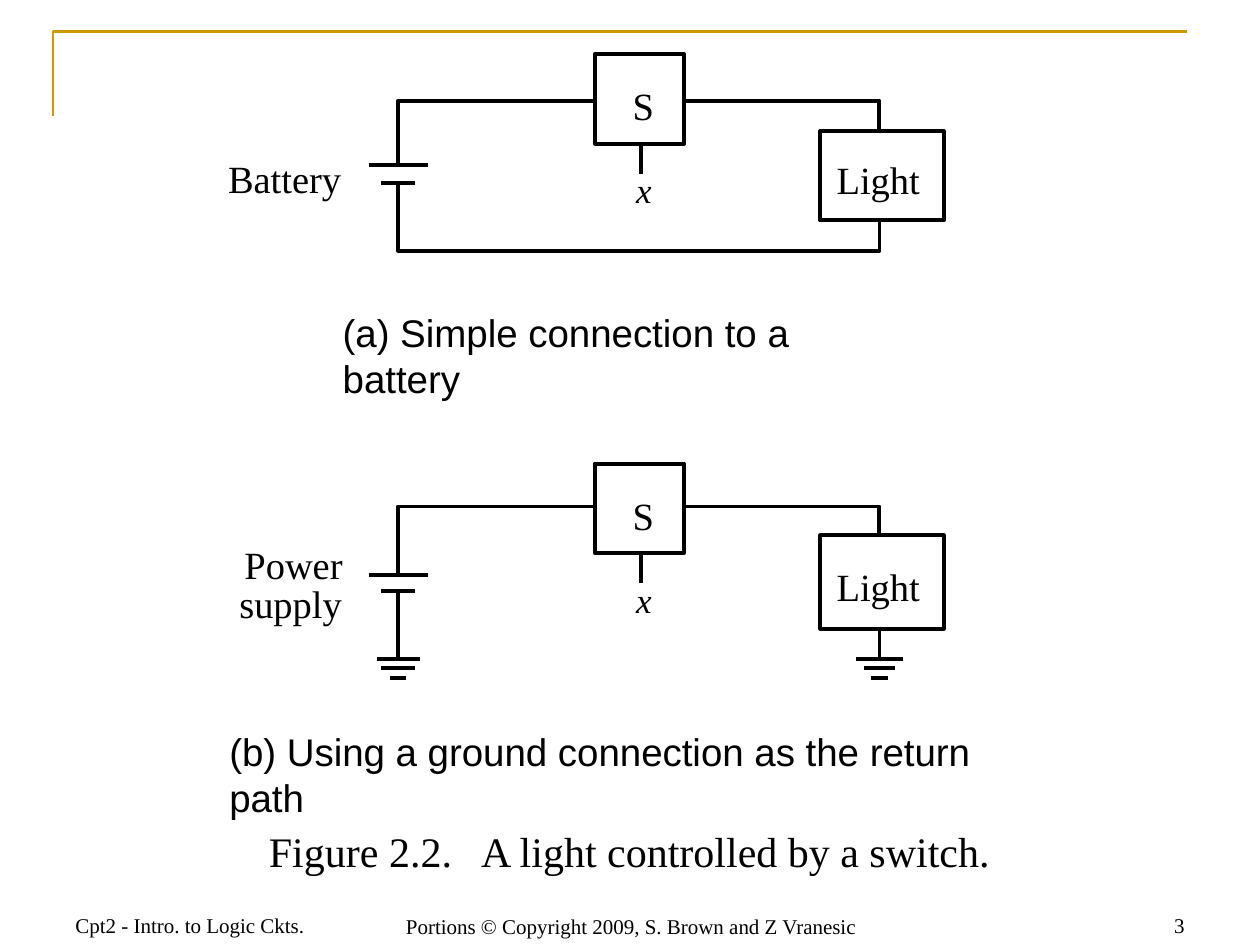
from lxml import etree
from pptx import Presentation, util as u
from pptx.dml.color import RGBColor
from pptx.enum import shapes, text
from pptx.oxml.ns import qn

BLACK = RGBColor(0x00, 0x00, 0x00)
GOLD = RGBColor(0xCC, 0x99, 0x00)
SERIF, SANS = "Times New Roman", "Arial"
COLUMNS, ROWS = 100, 75
CELL = u.Inches(0.1)
SUPPLY, SWITCH, LAMP = 31.6, 50.9, 69.8
SWITCH_LEFT, SWITCH_SIZE = 47.2, 7.1
LAMP_LEFT, LAMP_WIDTH = 65.1, 9.8
WIRE_LEFT, WIRE_RIGHT = 38.8, 62.7


def grid(*cells):
    """Turn grid columns and rows into slide lengths."""
    return [round(cell * CELL) for cell in cells]


def style_line(line, color=BLACK, width=2.25):
    """Set the colour and point width of a line."""
    line.color.rgb = color
    line.width = u.Pt(width)


def add_wire(page, start, end):
    """Draw a straight wire between two grid points."""
    wire = page.shapes.add_connector(shapes.MSO_CONNECTOR.STRAIGHT, *grid(*start, *end))
    style_line(wire.line)
    etree.SubElement(wire.element.spPr, qn("a:effectLst"))


def add_bar(page, center, row, width):
    """Draw a horizontal bar centred on a column."""
    add_wire(page, (center - width / 2, row), (center + width / 2, row))


def add_bend(page, points, color=BLACK, width=2.25):
    """Draw an open path with corners at the grid points."""
    first, *others = [grid(*point) for point in points]
    builder = page.shapes.build_freeform(*first, scale=1.0)
    builder.add_line_segments(others, close=False)
    bend = builder.convert_to_shape()
    bend.fill.background()
    bend.shadow.inherit = False
    style_line(bend.line, color, width)


def add_part(page, left, top, width, height):
    """Draw the outline of a circuit part."""
    part = page.shapes.add_shape(shapes.MSO_SHAPE.RECTANGLE, *grid(left, top, width, height))
    part.fill.background()
    part.shadow.inherit = False
    style_line(part.line)


def add_text(page, words, place, size, font=SERIF, align=text.PP_ALIGN.LEFT,
             anchor=text.MSO_ANCHOR.TOP, italic=False):
    """Add one line of wrapped text with normal margins."""
    box = page.shapes.add_textbox(*grid(*place))
    frame = box.text_frame
    frame.word_wrap = True
    frame.vertical_anchor = anchor
    para = frame.paragraphs[0]
    para.alignment = align
    span = para.add_run()
    span.text = words
    span.font.size = u.Pt(size)
    span.font.name = font
    span.font.italic = italic
    span.font.color.rgb = BLACK
    return frame


def add_label(page, words, left, top, width, font=SERIF):
    """Add an unwrapped label without margins."""
    frame = add_text(page, words, (left, top, width, 3.7), 22, font)
    frame.word_wrap = False
    frame.auto_size = text.MSO_AUTO_SIZE.SHAPE_TO_FIT_TEXT
    frame.margin_left = frame.margin_right = frame.margin_top = frame.margin_bottom = 0


def add_switch(page, top, wire):
    """Draw the switch, its control input and its side wires."""
    bottom = top + SWITCH_SIZE
    add_part(page, SWITCH_LEFT, top, SWITCH_SIZE, SWITCH_SIZE)
    add_wire(page, (WIRE_LEFT, wire), (SWITCH_LEFT, wire))
    add_wire(page, (SWITCH_LEFT + SWITCH_SIZE, wire), (WIRE_RIGHT, wire))
    add_wire(page, (SWITCH, bottom), (SWITCH, bottom + 2.4))
    add_label(page, "S", 50.2, top + 2.25, 2.5)
    add_text(page, "x", (49.5, top + 8.6, 4.8, 4.4), 20, italic=True)


def add_lamp(page, top, height, wire, label):
    """Draw the light and the wire that feeds it."""
    add_part(page, LAMP_LEFT, top, LAMP_WIDTH, height)
    add_bend(page, [(LAMP, top), (LAMP, wire), (WIRE_RIGHT, wire)])
    add_label(page, "Light", 66.4, label, 8)


def add_supply(page, wire, plate, gap, end):
    """Draw the supply plates with the wires above and below."""
    add_bend(page, [(WIRE_LEFT, wire), (SUPPLY, wire), (SUPPLY, plate)])
    add_bar(page, SUPPLY, plate, 4.7)
    add_bar(page, SUPPLY, plate + gap, 2.7)
    add_wire(page, (SUPPLY, plate + gap), (SUPPLY, end))


def add_ground(page, center, row, widths):
    """Draw a ground sign as three shrinking bars."""
    for index, width in enumerate(widths):
        add_bar(page, center, row + index * 0.75, width)


def add_battery_circuit(page):
    """Draw the circuit that returns to the battery."""
    add_switch(page, 4.3, 8.05)
    add_lamp(page, 10.4, 7.1, 8, 12.4)
    add_supply(page, 8, 13.1, 1.4, 19.9)
    add_bend(page, [(SUPPLY, 19.2), (SUPPLY, 19.9), (LAMP, 19.9), (LAMP, 17.5)])
    add_label(page, "Battery", 18.1, 12.3, 11.2)
    add_label(page, "(a) Simple connection to a battery", 27.2, 24.5, 45.6, SANS)


def add_ground_circuit(page):
    """Draw the circuit that returns through the ground."""
    ground = 52.3
    add_switch(page, 36.8, 40.2)
    add_lamp(page, 42.5, 7.4, 40.2, 44.7)
    add_supply(page, 40.2, 45.6, 1.3, ground)
    add_wire(page, (LAMP, 49.9), (LAMP, ground))
    add_ground(page, SUPPLY, ground, (3.4, 2.7, 1.3))
    add_ground(page, LAMP, ground, (3.8, 2.4, 1.4))
    add_label(page, "Power", 19.4, 42.9, 9.9)
    add_label(page, "supply", 19, 46, 9.4)
    add_label(page, "(b) Using a ground connection as the return path", 18.2, 57.8, 65.6, SANS)


def add_footer(page):
    """Add the three texts along the foot of the slide."""
    align = text.PP_ALIGN
    for words, left, top, width, side in (
        ("Cpt2 - Intro. to Logic Ckts.", 5, 69.9, 23.3, align.LEFT),
        ("Portions © Copyright 2009, S. Brown and Z Vranesic", 28.3, 70, 43.6, align.CENTER),
        ("3", 71.7, 69.9, 23.3, align.RIGHT),
    ):
        add_text(page, words, (left, top, width, 5), 12, align=side,
                 anchor=text.MSO_ANCHOR.BOTTOM)


def main():
    """Build the slide and save it."""
    deck = Presentation()
    deck.slide_width, deck.slide_height = grid(COLUMNS, ROWS)
    page = deck.slides.add_slide(deck.slide_layouts[6])
    add_bend(page, [(4.2, 9.2), (4.2, 2.5), (94.2, 2.5)], GOLD, 1.5)
    add_footer(page)
    add_text(page, "Figure 2.2.   A light controlled by a switch.", (17.9, 65, 64.1, 5), 24,
             align=text.PP_ALIGN.CENTER)
    add_battery_circuit(page)
    add_ground_circuit(page)
    deck.save("out.pptx")


if __name__ == "__main__":
    main()
